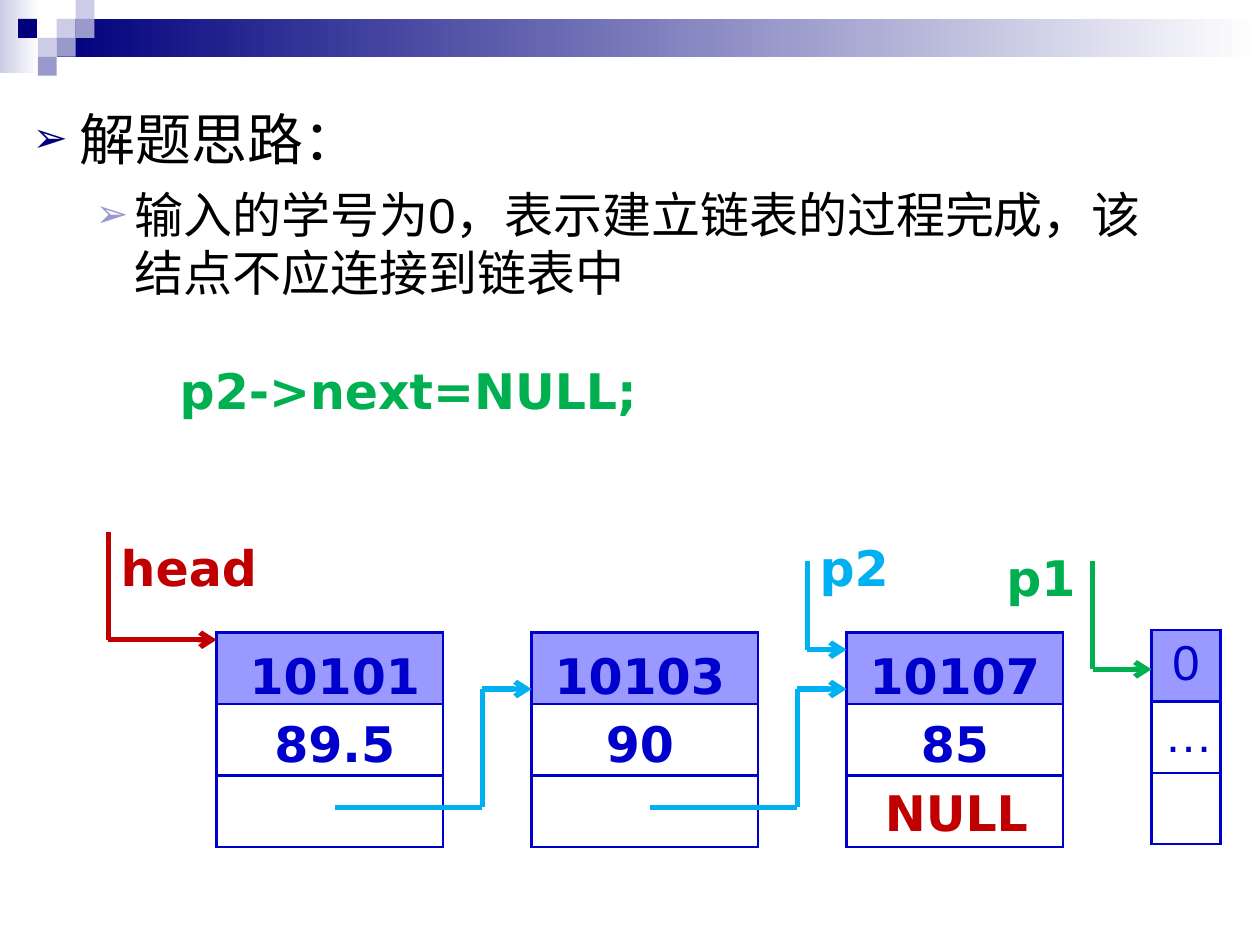
from itertools import pairwise

from lxml.etree import SubElement
from pptx import Presentation
from pptx.dml.color import RGBColor
from pptx.enum.shapes import MSO_CONNECTOR, MSO_SHAPE
from pptx.enum.text import PP_ALIGN
from pptx.oxml import parse_xml
from pptx.oxml.ns import nsdecls, qn
from pptx.util import Pt

COLORS = {
    "navy": "00007D", "mid": "9999CC", "pale": "CCCCE6", "white": "FFFFFF",
    "black": "000000", "blue": "0000CC", "violet": "9999FF",
    "red": "C00000", "green": "00B050", "sky": "00B0F0",
}

# left, top, width, height, color at the left edge (fading to white), flipped
BANDS = [
    (0, 0, 22.3, 41.8, "white", "pale"),
    (32.4, 10.8, 687.6, 21.6, "white", "navy"),
]
SQUARE = 10.8
SQUARES = [
    (32.4, 10.8, "pale"), (43.2, 0, "pale"), (43.2, 10.8, "mid"),
    (21.6, 21.6, "pale"), (10.3, 10.8, "navy"), (32.4, 21.6, "mid"),
    (21.6, 32.4, "mid"),
]

# text, size, left margin, hanging indent, space before, bullet color, bullet %
OUTLINE = [
    ("解题思路：", 32, 27, 27, 8, "navy", 75),
    ("输入的学号为0，表示建立链表的过程完成，该结点不应连接到链表中",
     28, 58.5, 22.5, 7, "mid", 80),
]

# left, top, width, cell texts
NODES = [
    (123.75, 361.5, 129.5, ()),
    (303.75, 361.5, 129.5, ()),
    (483.75, 361.5, 123.75, ()),
    (658, 360, 39.5, ("0", "…")),
]
ROW_HEIGHT = 40.8

# left, number and score written over a node
RECORDS = [(129.5, "10101", "89.5"), (303.75, "10103", "90"), (483.75, "10107", "85")]

# text, left, top, width, color, alignment
LABELS = [
    ("head", 61.9, 303.75, 96, "red", PP_ALIGN.LEFT),
    ("p1", 568, 309.4, 61.9, "green", PP_ALIGN.LEFT),
    ("p2", 461.25, 303.75, 61.9, "sky", PP_ALIGN.LEFT),
    ("NULL", 487.5, 443.5, 118, "red", PP_ALIGN.CENTER),
    ("p2->next=NULL;", 95.6, 202.5, 309.4, "green", PP_ALIGN.LEFT),
]

# color and corner points; the last point carries the arrowhead
POINTERS = [
    ("red", [(61.9, 303.75), (61.9, 365.6), (123.75, 365.6)]),
    ("green", [(624.4, 320.6), (624.4, 382.5), (658, 382.5)]),
    ("sky", [(461.25, 320.6), (461.25, 371.25), (483.75, 371.25)]),
] + [
    ("sky", [(x, 461.25), (x + 84.4, 461.25), (x + 84.4, 393.75), (x + 112.5, 393.75)])
    for x in (191.25, 371.25)
]


def rgb(name):
    return RGBColor.from_string(COLORS[name])


def add_rect(s, x, y, w, h):
    sp = s.shapes.add_shape(MSO_SHAPE.RECTANGLE, Pt(x), Pt(y), Pt(w), Pt(h))
    sp.shadow.inherit = False
    sp.line.fill.background()
    return sp


def add_text(s, x, y, w, h, lines):
    tf = s.shapes.add_textbox(Pt(x), Pt(y), Pt(w), Pt(h)).text_frame
    tf.word_wrap = True
    tf.text = "\n".join(lines)
    return tf


def style(p, size, color, font="DejaVu Sans", bold=True, align=PP_ALIGN.LEFT):
    p.alignment = align
    for r in p.runs:
        r.font.size, r.font.name, r.font.bold = Pt(size), font, bold
        r.font.color.rgb = rgb(color)


def add_bullet(p, color, percent):
    pPr = p._p.get_or_add_pPr()
    SubElement(SubElement(pPr, qn("a:buClr")), qn("a:srgbClr"), val=COLORS[color])
    SubElement(pPr, qn("a:buSzPct"), val=str(percent * 1000))
    SubElement(pPr, qn("a:buFont"), typeface="Arial")
    SubElement(pPr, qn("a:buChar"), char="➢")


def add_borders(cell):
    tcPr = cell._tc.get_or_add_tcPr()
    for i, side in enumerate("LRTB"):
        tcPr.insert(i, parse_xml(
            f'<a:ln{side} {nsdecls("a")} w="{Pt(1.5)}"><a:solidFill>'
            f'<a:srgbClr val="{COLORS["blue"]}"/></a:solidFill></a:ln{side}>'))


def add_node(s, x, y, w, texts):
    fills = ("violet", "white", "white")
    table = s.shapes.add_table(3, 1, Pt(x), Pt(y), Pt(w), Pt(3 * ROW_HEIGHT)).table
    table.first_row = table.horz_banding = False
    for i, fill in enumerate(fills):
        table.rows[i].height = Pt(ROW_HEIGHT)
        cell = table.cell(i, 0)
        cell.fill.solid()
        cell.fill.fore_color.rgb = rgb(fill)
        add_borders(cell)
        if i < len(texts):
            cell.text = texts[i]
            style(cell.text_frame.paragraphs[0], 28, "blue", "Arial", False, PP_ALIGN.CENTER)


def add_pointer(s, color, points):
    for start, end in pairwise(points):
        line = s.shapes.add_connector(MSO_CONNECTOR.STRAIGHT, *map(Pt, start + end))
        line.line.width = Pt(3)
        line.line.color.rgb = rgb(color)
        if end == points[-1]:
            SubElement(line.line._get_or_add_ln(), qn("a:tailEnd"), type="arrow")
        SubElement(line._element.spPr, qn("a:effectLst"))


def main():
    prs = Presentation()
    prs.slide_width, prs.slide_height = Pt(720), Pt(540)
    s = prs.slides.add_slide(prs.slide_layouts[6])

    for *box, first, last in BANDS:
        fill = add_rect(s, *box).fill
        fill.gradient()
        fill.gradient_angle = 180
        for stop, color in zip(fill.gradient_stops, (first, last)):
            stop.color.rgb = rgb(color)
    for x, y, color in SQUARES:
        fill = add_rect(s, x, y, SQUARE, SQUARE).fill
        fill.solid()
        fill.fore_color.rgb = rgb(color)

    tf = add_text(s, 11.5, 56.25, 658, 152, [row[0] for row in OUTLINE])
    for p, (_, size, margin, hang, before, color, percent) in zip(tf.paragraphs, OUTLINE):
        style(p, size, "black", "Arial", False)
        p.space_before = Pt(before)
        pPr = p._p.get_or_add_pPr()
        pPr.set("marL", str(Pt(margin)))
        pPr.set("indent", str(Pt(-hang)))
        add_bullet(p, color, percent)

    for node in NODES:
        add_node(s, *node)
    for x, *lines in RECORDS:
        for p in add_text(s, x, 360, 123.75, 85.5, lines).paragraphs:
            style(p, 28, "blue", align=PP_ALIGN.CENTER)
            p.line_spacing = Pt(39)
    for text, x, y, w, color, align in LABELS:
        tf = add_text(s, x, y, w, 41, [text])
        style(tf.paragraphs[0], 28, color, align=align)
    for color, points in POINTERS:
        add_pointer(s, color, points)

    prs.save("out.pptx")


if __name__ == "__main__":
    main()
